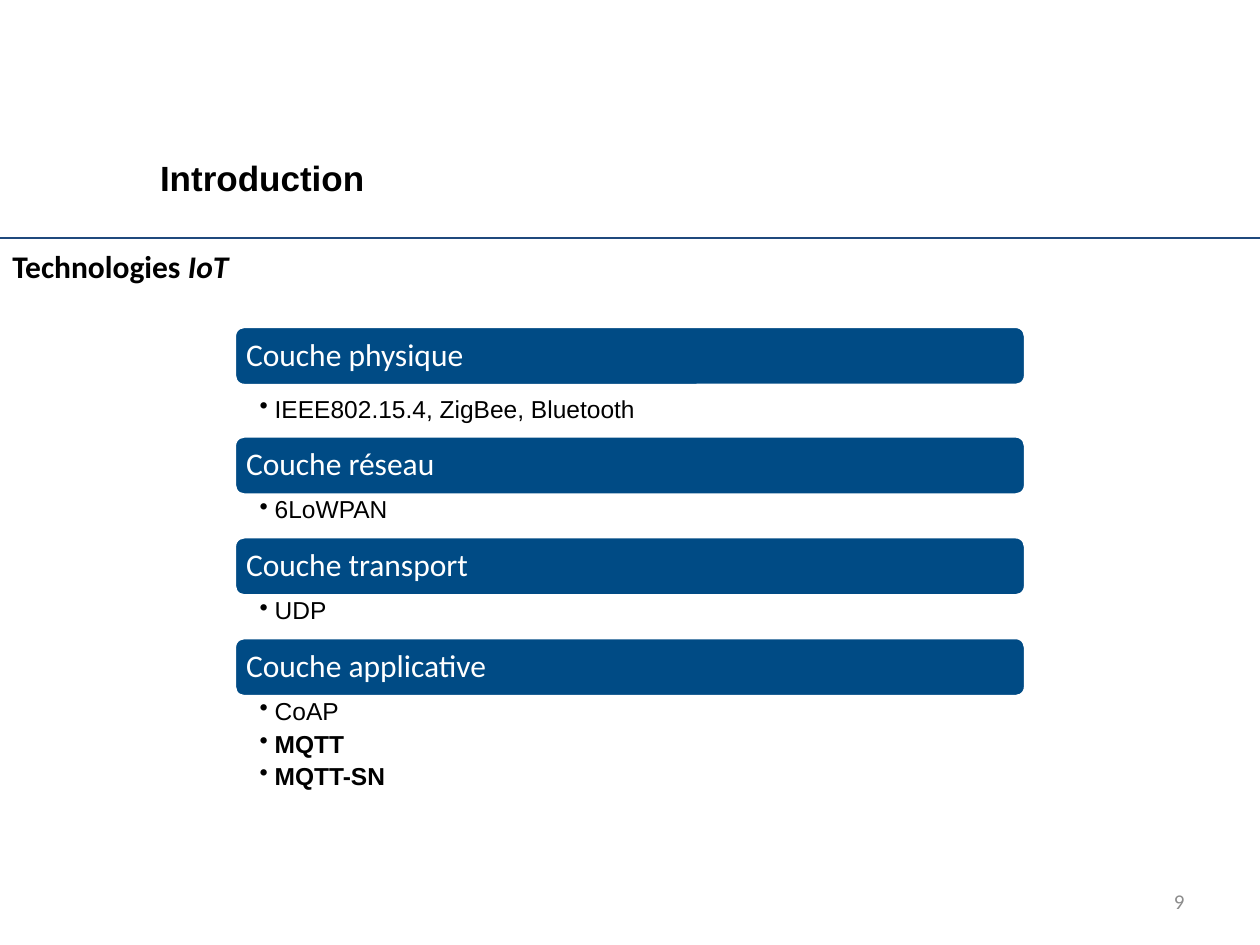
from lxml import etree
from pptx import Presentation
from pptx.dml.color import RGBColor
from pptx.enum.shapes import MSO_CONNECTOR, MSO_SHAPE
from pptx.enum.text import MSO_ANCHOR, MSO_AUTO_SIZE, PP_ALIGN
from pptx.oxml.ns import qn
from pptx.util import Inches, Pt

TOP, MIDDLE = MSO_ANCHOR.TOP, MSO_ANCHOR.MIDDLE
LEFT, RIGHT = PP_ALIGN.LEFT, PP_ALIGN.RIGHT

# Content: (layer, technologies, space above list, height of list)
TITLE = "Introduction"
SUBTITLE = [("Technologies ", False), ("IoT", True)]
LAYERS = [
    ("Couche physique", ["IEEE802.15.4, ZigBee, Bluetooth"], 0.07, 0.33),
    ("Couche réseau", ["6LoWPAN"], 0, 0.33),
    ("Couche transport", ["UDP"], 0, 0.33),
    ("Couche applicative", ["CoAP", "MQTT", "MQTT-SN"], 0, 0.73),
]
BOLD_ITEMS = {"MQTT", "MQTT-SN"}
PAGE_NUMBER = "9"

THEME = {
    "heading": "Arial", "body": "Calibri",
    "bar": "004B85", "rule": "1F497D",
    "white": "FFFFFF", "black": "000000", "grey": "8C8C8C",
    "title_size": 20, "layer_size": 18, "item_size": 14, "number_size": 12,
}

# Geometry in inches
SLIDE_WIDTH, SLIDE_HEIGHT = 10, 7.5
STACK_LEFT, STACK_TOP, STACK_WIDTH = 1.86, 2.59, 6.28
BAR_HEIGHT = 0.47
RULE_TOP = 1.89
BULLET_INDENT = 0.12


def color(name):
    return RGBColor.from_string(THEME[name])


def style(span, font, size, ink, bold=False, italic=False):
    span.font.name = THEME[font]
    span.font.size = Pt(THEME[size])
    span.font.color.rgb = color(ink)
    span.font.bold = bold
    span.font.italic = italic


def set_frame(shape, anchor=TOP, margins=(0.1, 0.05, 0.1, 0.05), wrap=True):
    frame = shape.text_frame
    frame.word_wrap = wrap
    frame.auto_size = MSO_AUTO_SIZE.NONE
    frame.vertical_anchor = anchor
    (frame.margin_left, frame.margin_top,
     frame.margin_right, frame.margin_bottom) = map(Inches, margins)
    return frame


def add_box(page, left, top, width, height, **options):
    box = page.shapes.add_textbox(*map(Inches, (left, top, width, height)))
    return set_frame(box, **options)


def add_bullet(para):
    properties = para._p.get_or_add_pPr()
    properties.set("marL", str(Inches(BULLET_INDENT)))
    properties.set("indent", str(-Inches(BULLET_INDENT)))
    etree.SubElement(properties, qn("a:buChar")).set("char", "•")


def add_bar(page, label, top):
    bar = page.shapes.add_shape(
        MSO_SHAPE.ROUNDED_RECTANGLE,
        *map(Inches, (STACK_LEFT, top, STACK_WIDTH, BAR_HEIGHT)))
    bar.shadow.inherit = False
    bar.fill.solid()
    bar.fill.fore_color.rgb = color("bar")
    bar.line.color.rgb = color("white")
    bar.line.width = Pt(2)
    para = set_frame(bar, MIDDLE, (0.07,) * 4).paragraphs[0]
    para.text = label
    para.alignment = LEFT
    para.line_spacing = 0.9
    style(para.runs[0], "body", "layer_size", "white")


def add_items(page, items, top, height):
    frame = add_box(page, STACK_LEFT, top, STACK_WIDTH, height,
                    margins=(0.2, 0.02, 0.11, 0.02))
    frame.text = "\n".join(items)
    for para in frame.paragraphs:
        para.line_spacing = 0.9
        para.space_after = Pt(3.5)
        add_bullet(para)
        style(para.runs[0], "heading", "item_size", "black",
              bold=para.text in BOLD_ITEMS)


def main():
    deck = Presentation()
    deck.slide_width, deck.slide_height = Inches(SLIDE_WIDTH), Inches(SLIDE_HEIGHT)
    page = deck.slides.add_slide(deck.slide_layouts[5])

    # Title
    title = page.shapes.title
    title.left, title.top, title.width, title.height = map(
        Inches, (1.17, 1.19, 1.95, 0.44))
    para = set_frame(title).paragraphs[0]
    para.text = TITLE
    para.alignment = LEFT
    style(para.runs[0], "heading", "title_size", "black", bold=True)

    # Rule under the title
    rule = page.shapes.add_connector(
        MSO_CONNECTOR.STRAIGHT, 0, Inches(RULE_TOP),
        Inches(SLIDE_WIDTH), Inches(RULE_TOP))
    rule.line.color.rgb = color("rule")
    rule.line.width = Pt(0.75)
    etree.SubElement(rule._element.spPr, qn("a:effectLst"))

    # Subtitle
    para = add_box(page, 0, 1.91, 1.93, 0.4, wrap=False).paragraphs[0]
    for words, italic in SUBTITLE:
        span = para.add_run()
        span.text = words
        style(span, "body", "layer_size", "black", bold=True, italic=italic)

    # Layers stacked from top to bottom
    top = STACK_TOP
    for label, items, gap, height in LAYERS:
        add_bar(page, label, top)
        list_top = top + BAR_HEIGHT + gap
        add_items(page, items, list_top, height)
        top = list_top + height

    # Page number
    para = add_box(page, 7.17, 6.95, 2.33, 0.4, anchor=MIDDLE).paragraphs[0]
    para.text = PAGE_NUMBER
    para.alignment = RIGHT
    style(para.runs[0], "body", "number_size", "grey")

    deck.save("out.pptx")


if __name__ == "__main__":
    main()
